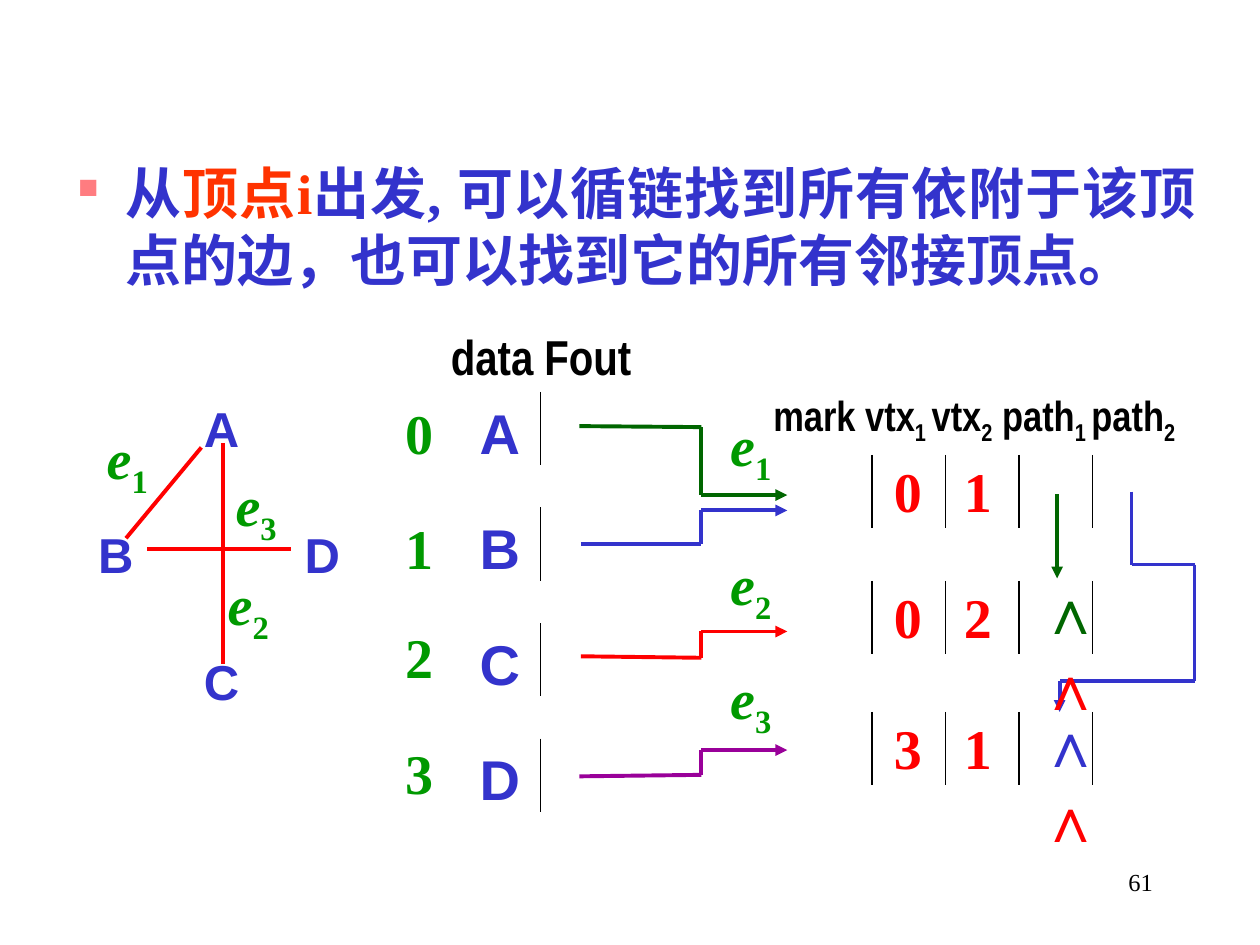
from dataclasses import dataclass
from itertools import pairwise

from lxml import etree
from pptx import Presentation
from pptx.dml.color import RGBColor
from pptx.enum.shapes import MSO_CONNECTOR
from pptx.enum.text import MSO_AUTO_SIZE, PP_ALIGN
from pptx.oxml.ns import qn
from pptx.util import Cm, Pt

STRAIGHT = MSO_CONNECTOR.STRAIGHT
GROW = MSO_AUTO_SIZE.SHAPE_TO_FIT_TEXT
RIGHT, JUSTIFY = PP_ALIGN.RIGHT, PP_ALIGN.JUSTIFY


@dataclass(frozen=True)
class Theme:
    black: str = "000000"
    blue: str = "3333CC"
    red: str = "FF0000"
    hot: str = "FF3300"
    green: str = "009900"
    dark: str = "006600"
    plum: str = "990099"
    pink: str = "FF7C80"
    serif: str = "Times New Roman"
    sans: str = "Arial"
    thin: str = "Arial Narrow"
    page: int = 14
    head: int = 24
    node: int = 28
    body: int = 32
    mark: int = 36
    hair: float = 0.75
    bold: float = 2.25


T = Theme()


def child(parent, tag, **attrs):
    return etree.SubElement(parent, qn(tag), attrs)


def line(slide, start, end, color, width=T.bold, arrow=False):
    link = slide.shapes.add_connector(STRAIGHT, *map(Cm, (*start, *end)))
    link.line.color.rgb = RGBColor.from_string(color)
    link.line.width = Pt(width)
    if arrow:
        child(link.line._get_or_add_ln(), "a:tailEnd", type="triangle")
    child(link._element.spPr, "a:effectLst")


def path(slide, points, color):
    """Draw joined segments, the last one with an arrowhead."""
    for start, end in pairwise(points):
        line(slide, start, end, color, arrow=end == points[-1])


def rule(slide, x, y):
    line(slide, (x, y), (x, y + 1.48), T.black, T.hair)


def text(slide, box, runs, size, font=T.serif, color=T.black,
         bold=True, wrap=False):
    """Add one paragraph; runs are (text, format) pairs. Return it."""
    frame = slide.shapes.add_textbox(*map(Cm, box)).text_frame
    frame.word_wrap = wrap
    if not wrap:
        frame.auto_size = GROW
    para = frame.paragraphs[0]
    para.font.name, para.font.size, para.font.bold = font, Pt(size), bold
    para.font.color.rgb = RGBColor.from_string(color)
    for words, style in runs:
        run = para.add_run()
        run.text = words
        if "color" in style:
            run.font.color.rgb = RGBColor.from_string(style["color"])
        if "italic" in style:
            run.font.italic = True
        if "sub" in style:
            run.font._element.set("baseline", "-25000")
    return para


def label(slide, x, y, words, size=T.body, font=T.serif, color=T.green,
          width=1.07):
    text(slide, (x, y, width, size / 20), [(words, {})], size, font, color)


def edge(slide, x, y, num):
    runs = [("e", {"italic": True}), (num, {"sub": True})]
    text(slide, (x, y, 1.4, 1.6), runs, T.body, color=T.green)


def bullet(slide):
    runs = [("从", {}), ("顶点i", {"color": T.hot}),
            ("出发, 可以循链找到所有依附于该顶点的边，也可以找到它的所有邻接顶点。", {})]
    para = text(slide, (1.32, 3.07, 23.04, 3.18), runs, T.body,
                color=T.blue, wrap=True)
    para.alignment = JUSTIFY
    props = para._p.get_or_add_pPr()
    props.set("marL", str(Cm(0.97)))
    props.set("indent", str(-Cm(0.97)))
    tint = etree.Element(qn("a:buClr"))
    child(tint, "a:srgbClr", val=T.pink)
    scale = etree.Element(qn("a:buSzPct"), val="50000")
    sign = etree.Element(qn("a:buChar"), char="■")
    for spot, item in enumerate((tint, scale, sign)):
        props.insert(spot, item)


def graph(slide):
    line(slide, (2.54, 10.85), (4.06, 9.02), T.red)
    line(slide, (4.5, 8.94), (4.5, 13.39), T.red)
    line(slide, (2.97, 11.07), (5.87, 11.07), T.red)
    for name, x, y in (("A", 3.86, 7.9), ("B", 1.73, 10.44),
                       ("C", 3.86, 13), ("D", 5.89, 10.44)):
        label(slide, x, y, name, T.node, T.sans, T.blue, 1.22)
    for num, x, y in (("1", 1.9, 8.41), ("2", 4.34, 11.35),
                      ("3", 4.5, 9.37)):
        edge(slide, x, y, num)


def heads(slide):
    """List the vertices with their first-edge links."""
    label(slide, 8.84, 6.45, "data Fout", T.node, T.thin, T.black, 4.14)
    for row, name in enumerate("ABCD"):
        y = 7.9 + 2.33 * row
        rule(slide, 10.9, y)
        label(slide, 9.42, y, name, T.body, T.sans, T.blue, 1.32)
        label(slide, 7.92, y - (0.13 if row > 1 else 0), str(row))
    for color, left, start, bend, end in (
            (T.dark, 11.68, 8.59, 8.61, 9.98),
            (T.blue, 11.71, 10.97, 10.97, 10.29),
            (T.red, 11.71, 13.23, 13.26, 12.73),
            (T.plum, 11.68, 15.65, 15.62, 15.12)):
        path(slide, [(left, start), (14.14, bend), (14.14, end),
                     (15.87, end)], color)


def edges(slide):
    """Draw the edge records and the links between them."""
    sub = {"sub": True}
    runs = [("mark vtx", {}), ("1 ", sub), ("vtx", {}), ("2", sub),
            (" path", {}), ("1 ", sub), ("path", {}), ("2", sub)]
    text(slide, (15.34, 7.72, 8.79, 1.27), runs, T.head, T.thin)
    for num, y, ends in (("1", 9.17, "01"), ("2", 11.71, "02"),
                         ("3", 14.35, "31")):
        for col in range(4):
            rule(slide, 17.58 + 1.48 * col, y)
        para = text(slide, (17.77, y - 0.1, 2.8, 1.6),
                    [("\t".join(ends), {})], T.body, color=T.red, wrap=True)
        tabs = etree.Element(qn("a:tabLst"))
        child(tabs, "a:tab", pos=str(Cm(1.41)), algn="l")
        para._p.get_or_add_pPr().insert(0, tabs)
    for num, y in (("1", 8.15), ("2", 10.95), ("3", 13.26)):
        edge(slide, 14.47, y, num)
    path(slide, [(21.31, 9.96), (21.31, 11.66)], T.dark)
    path(slide, [(22.81, 9.91), (22.81, 11.38), (24.08, 11.38),
                 (24.08, 13.72), (21.36, 13.72), (21.36, 14.35)], T.blue)
    for y, color in ((11.4, T.dark), (14.07, T.blue)):
        text(slide, (20.7, y, 2.69, 1.78),
             [("∧ ", {}), ("∧", {"color": T.red})], T.mark,
             color=color, wrap=True)


def main():
    deck = Presentation()
    deck.slide_width, deck.slide_height = Cm(25.4), Cm(19.05)
    slide = deck.slides.add_slide(deck.slide_layouts[6])
    edges(slide)
    heads(slide)
    graph(slide)
    bullet(slide)
    page = text(slide, (18.21, 17.35, 5.28, 1.27), [("61", {})], T.page,
                bold=False, wrap=True)
    page.alignment = RIGHT
    deck.save("out.pptx")


if __name__ == "__main__":
    main()
